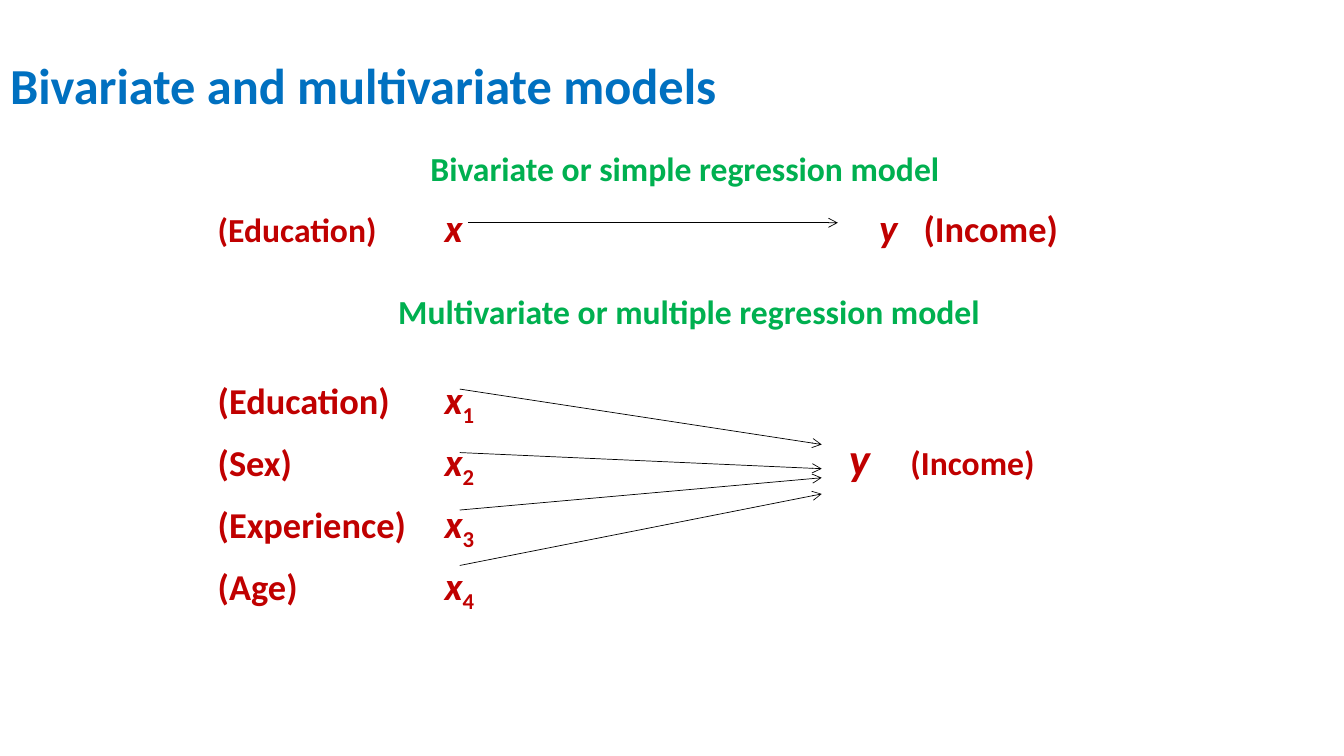
from lxml import etree
from pptx import Presentation
from pptx.dml.color import RGBColor
from pptx.enum.shapes import MSO_CONNECTOR as Connector
from pptx.oxml.ns import qn
from pptx.util import Inches, Pt

COLORS = {"title": "0070C0", "heading": "00B050", "variable": "C00000", "arrow": "000000"}
FONT = "Calibri"
ASCENT = 0.952  # font ascent, as a share of the text size
ROWS_LEFT = 2.16
SYMBOL_TAB = 2.25


def add_tab_stops(paragraph, stops):
    tab_list = etree.SubElement(paragraph._p.get_or_add_pPr(), qn("a:tabLst"))
    for stop in stops:
        etree.SubElement(tab_list, qn("a:tab"), pos=str(Inches(stop)), algn="l")


def add_line_of_text(slide, left, baseline, width, color, runs, stops=()):
    """Set one line on a baseline; runs are (text, size, style), style i or sub."""
    largest = max(size for _, size, _ in runs)
    top = baseline - ASCENT * largest / 72
    box = slide.shapes.add_textbox(
        Inches(left), Inches(top), Inches(width), Inches(1.25 * largest / 72))
    frame = box.text_frame
    frame.word_wrap = True
    frame.margin_left = frame.margin_right = frame.margin_top = frame.margin_bottom = 0
    paragraph = frame.paragraphs[0]
    if stops:
        add_tab_stops(paragraph, stops)
    for text, size, style in runs:
        run = paragraph.add_run()
        run.text = text
        font = run.font
        font.name, font.size, font.bold = FONT, Pt(size), True
        font.italic = style == "i"
        font.color.rgb = RGBColor.from_string(COLORS[color])
        if style == "sub":
            font._element.set("baseline", "-25000")


def add_arrow(slide, start, end):
    arrow = slide.shapes.add_connector(
        Connector.STRAIGHT, *(Inches(value) for value in (*start, *end)))
    arrow.line.width = Pt(0.5)
    arrow.line.color.rgb = RGBColor.from_string(COLORS["arrow"])
    etree.SubElement(arrow.line._get_or_add_ln(), qn("a:tailEnd"), type="arrow")
    etree.SubElement(arrow._element.spPr, qn("a:effectLst"))


def add_bivariate_model(slide):
    add_line_of_text(slide, 4.27, 1.78, 5.2, "heading",
                     [("Bivariate or simple regression model", 24, "")])
    add_line_of_text(slide, ROWS_LEFT, 2.39, 9, "variable",
                     [("(Education)\t", 24, ""), ("x\ty\t", 28, "i"), ("(Income)", 26, "")],
                     [SYMBOL_TAB, 6.56, 7])
    add_arrow(slide, (4.64, 2.21), (8.31, 2.21))


def add_multivariate_model(slide):
    add_line_of_text(slide, 3.95, 3.2, 6.5, "heading",
                     [("Multivariate or multiple regression model", 24, "")])
    predictors = [("Education", 3.86, 4.41), ("Sex", 4.49, 4.65),
                  ("Experience", 5.06, 4.74), ("Age", 5.61, 4.9)]
    for index, (name, start_y, end_y) in enumerate(predictors):
        add_line_of_text(slide, ROWS_LEFT, 4.09 + 0.615 * index, 3, "variable",
                         [(f"({name})\t", 26, ""), ("x", 28, "i"), (str(index + 1), 28, "sub")],
                         [SYMBOL_TAB])
        add_arrow(slide, (4.56, start_y), (8.15, end_y))
    add_line_of_text(slide, 8.42, 4.7, 2.4, "variable",
                     [("y\t", 32, "i"), ("(Income)", 24, "")], [0.61])


def main():
    presentation = Presentation()
    presentation.slide_width = Inches(13.33)
    presentation.slide_height = Inches(7.5)
    slide = presentation.slides.add_slide(presentation.slide_layouts[6])
    add_line_of_text(slide, 0.1, 1.01, 11.3, "title",
                     [("Bivariate and multivariate models", 36, "")])
    add_bivariate_model(slide)
    add_multivariate_model(slide)
    presentation.save("out.pptx")


if __name__ == "__main__":
    main()
